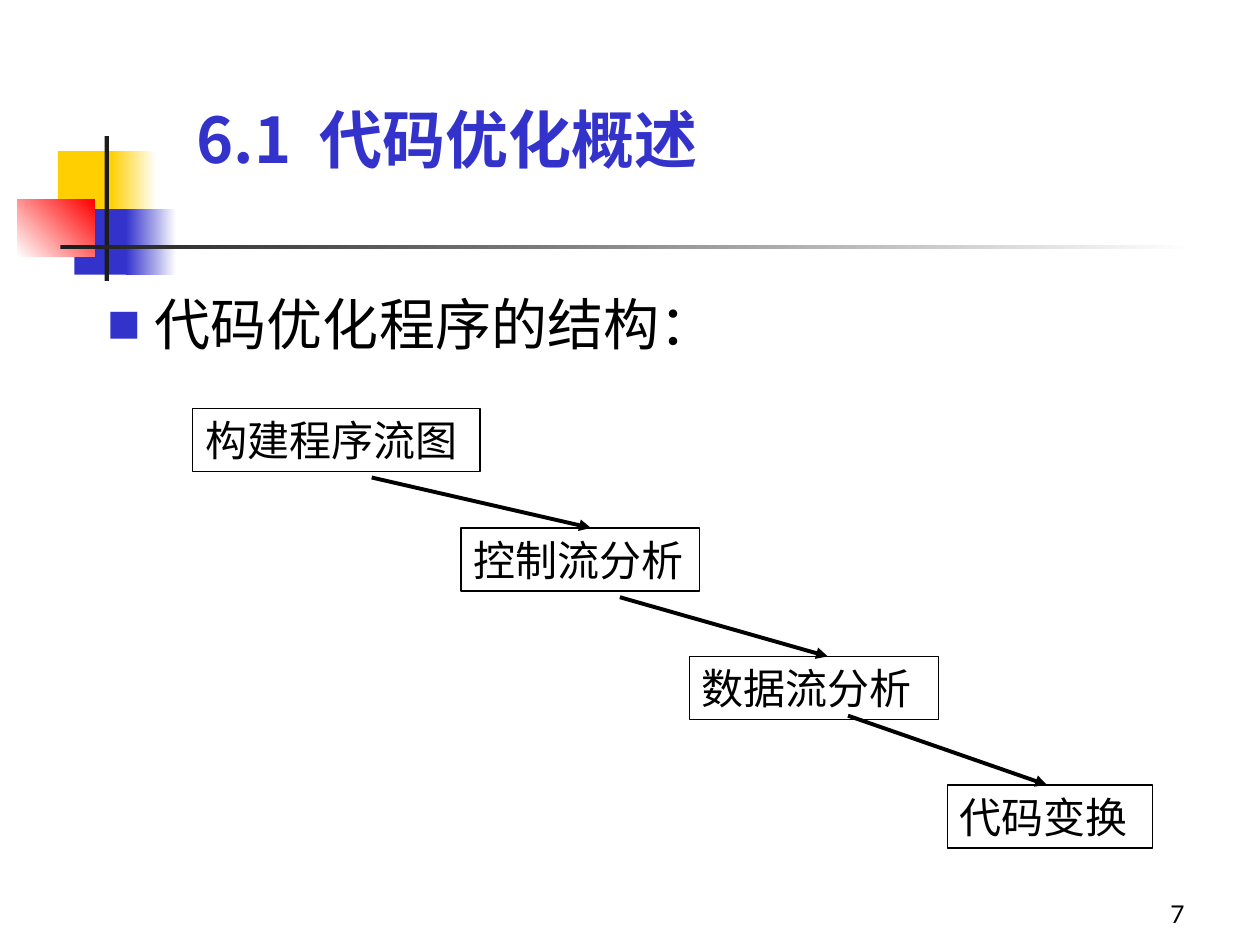
import pptx
import pptx.dml.color
import pptx.enum.dml
import pptx.enum.shapes
import pptx.enum.text
import pptx.oxml
import pptx.oxml.ns
import pptx.util

COLUMNS, ROWS = 100, 75
WIDTH, HEIGHT = pptx.util.Inches(10), pptx.util.Inches(7.5)
COLORS = {
    "yellow": "FFCF01",
    "blue": "3333CC",
    "red": "FF0000",
    "charcoal": "1C1C1C",
    "white": "FFFFFF",
    "black": "000000",
}
CJK_FONT = "Noto Sans CJK SC"
DECORATIONS = [
    ((4.6, 12, 4.8, 5.2), ["yellow"], 0),
    ((8.8, 12, 3.6, 5.2), ["yellow", "white"], 0),
    ((5.9, 16.6, 4.6, 5.2), ["blue"], 0),
    ((10, 16.6, 4, 5.2), ["blue", "white"], 0),
    ((1.4, 15.8, 6.1, 4.6), ["white", "red"], 45),
    ((8.3, 10.8, 0.35, 11.5), ["charcoal"], 0),
    ((4.8, 19.45, 90, 0.35), ["charcoal", "white"], 0),
]
STEPS = [
    ("构建程序流图", 15.3, 32.4, 22.8),
    ("控制流分析", 36.6, 41.9, 18.9),
    ("数据流分析", 54.7, 52.1, 19.8),
    ("代码变换", 75.2, 62.3, 16.3),
]
ARROWS = [
    ((29.5, 37.9), (46.9, 41.9)),
    ((49.2, 47.4), (65.7, 52.1)),
    ((67.3, 56.8), (83.1, 62.3)),
]


def color(name):
    return pptx.dml.color.RGBColor.from_string(COLORS[name])


def grid(*lengths):
    steps = (WIDTH / COLUMNS, HEIGHT / ROWS)
    return [round(length * steps[i % 2]) for i, length in enumerate(lengths)]


def add_element(parent, tag, **attributes):
    element = pptx.oxml.parse_xml(f"<{tag} {pptx.oxml.ns.nsdecls('a')}/>")
    for name, value in attributes.items():
        element.set(name, value)
    parent.append(element)


def place(shape, area):
    shape.left, shape.top, shape.width, shape.height = grid(*area)


def write(shape, text, size, font_name, color_name="black", bold=False,
          align=pptx.enum.text.PP_ALIGN.LEFT, anchor=pptx.enum.text.MSO_ANCHOR.TOP):
    frame = shape.text_frame
    frame.word_wrap = True
    frame.auto_size = pptx.enum.text.MSO_AUTO_SIZE.NONE
    frame.vertical_anchor = anchor
    paragraph = frame.paragraphs[0]
    paragraph.alignment = align
    paragraph.space_before = pptx.util.Pt(0)
    run = paragraph.add_run()
    run.text = text
    run.font.size = pptx.util.Pt(size)
    run.font.bold = bold
    run.font.color.rgb = color(color_name)
    run.font.name = font_name
    add_element(run.font._element, "a:ea", typeface=CJK_FONT)
    return paragraph


def add_rectangle(slide, area):
    shape = slide.shapes.add_shape(pptx.enum.shapes.MSO_SHAPE.RECTANGLE, *grid(*area))
    shape.shadow.inherit = False
    return shape


def add_decoration(slide, area, color_names, angle):
    shape = add_rectangle(slide, area)
    shape.line.fill.background()
    if len(color_names) == 1:
        shape.fill.solid()
        shape.fill.fore_color.rgb = color(color_names[0])
        return
    shape.fill.gradient()
    shape.fill.gradient_angle = angle
    for stop, name in zip(shape.fill.gradient_stops, color_names):
        stop.color.rgb = color(name)


def add_step(slide, text, left, top, width):
    shape = add_rectangle(slide, (left, top, width, 5))
    shape.fill.background()
    shape.line.color.rgb = color("black")
    shape.line.width = pptx.util.Pt(0.75)
    write(shape, text, 24, "Times New Roman")


def add_arrow(slide, start, end):
    connector = slide.shapes.add_connector(
        pptx.enum.shapes.MSO_CONNECTOR.STRAIGHT, *grid(*start, *end))
    connector.line.color.rgb = color("black")
    connector.line.width = pptx.util.Pt(2.25)
    add_element(connector.line._get_or_add_ln(), "a:tailEnd", type="triangle")
    add_element(connector._element.spPr, "a:effectLst")


def fill_title(slide):
    title = slide.shapes.title
    place(title, (14.6, 7.6, 51.2, 6.9))
    write(title, "6.1  代码优化概述", 36, CJK_FONT, "blue", bold=True,
          anchor=pptx.enum.text.MSO_ANCHOR.BOTTOM)


def fill_body(slide):
    body = slide.placeholders[1]
    place(body, (7.5, 22.5, 86.6, 7.9))
    paragraph = write(body, "代码优化程序的结构：", 32, "Lato")
    properties = paragraph._p.get_or_add_pPr()
    indent = pptx.util.Inches(0.38)
    properties.set("marL", str(indent))
    properties.set("indent", str(-indent))
    add_element(properties, "a:buClr")
    add_element(properties[-1], "a:srgbClr", val=COLORS["blue"])
    add_element(properties, "a:buSzPct", val="60000")
    add_element(properties, "a:buFont", typeface=CJK_FONT)
    add_element(properties, "a:buChar", char="■")


def add_page_number(slide):
    box = slide.shapes.add_textbox(*grid(74.2, 69.2, 20.8, 5))
    write(box, "7", 14, "Lato", align=pptx.enum.text.PP_ALIGN.RIGHT,
          anchor=pptx.enum.text.MSO_ANCHOR.BOTTOM)


def main():
    presentation = pptx.Presentation()
    presentation.slide_width, presentation.slide_height = WIDTH, HEIGHT
    slide = presentation.slides.add_slide(presentation.slide_layouts[1])
    for decoration in DECORATIONS:
        add_decoration(slide, *decoration)
    add_page_number(slide)
    fill_title(slide)
    fill_body(slide)
    for step in STEPS:
        add_step(slide, *step)
    for arrow in ARROWS:
        add_arrow(slide, *arrow)
    presentation.save("out.pptx")


if __name__ == "__main__":
    main()
